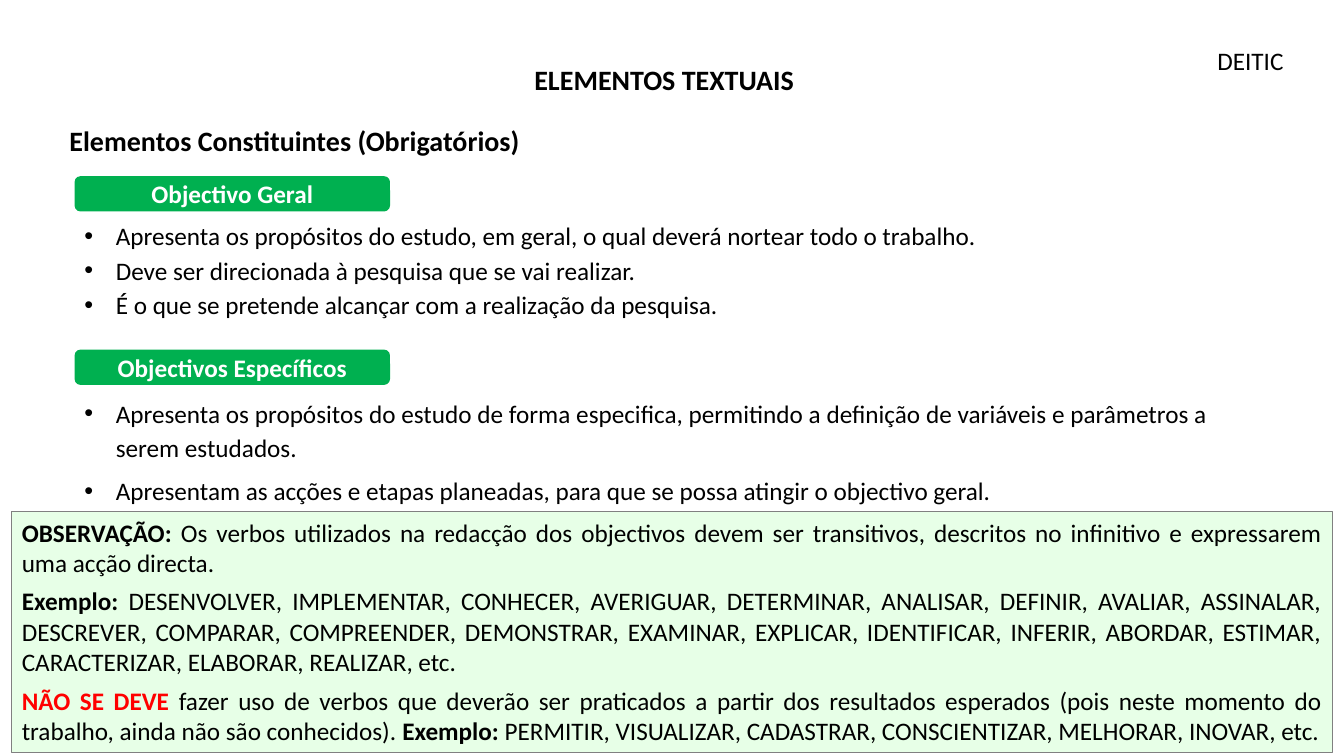
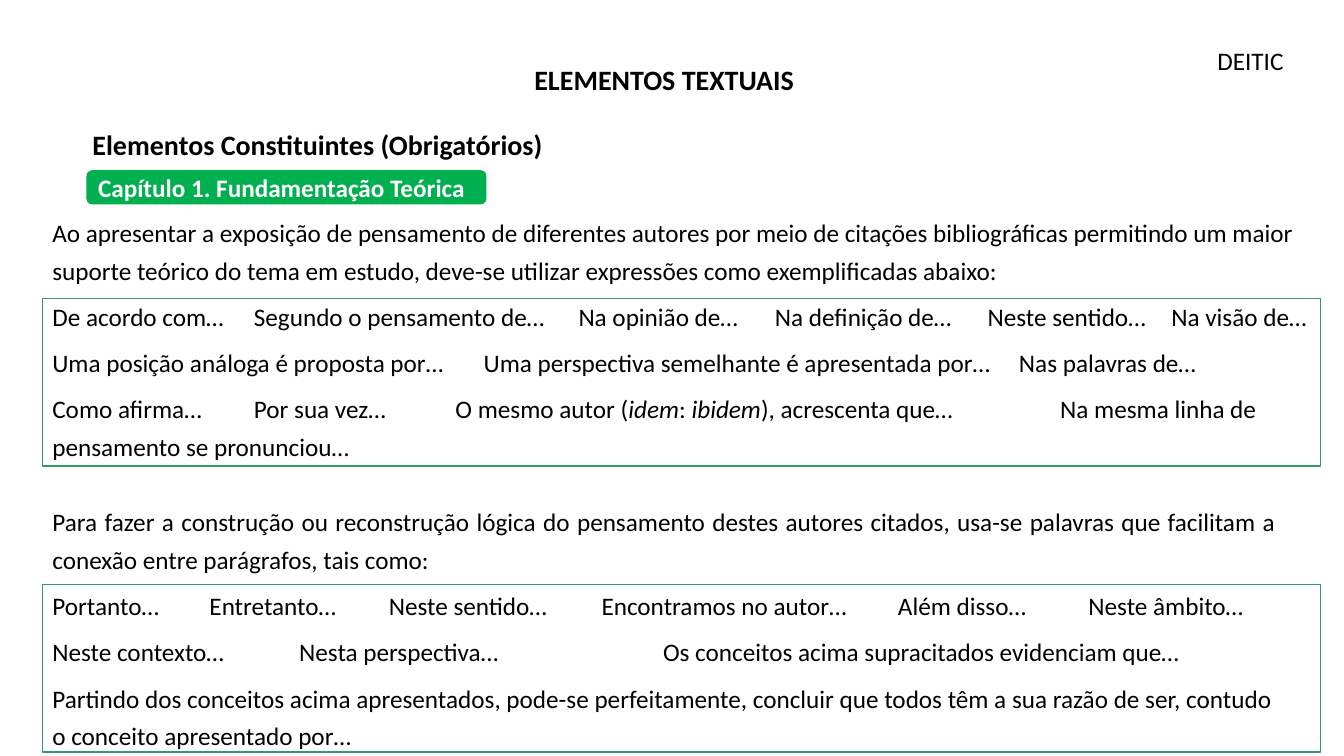
"""Build two slides on the textual elements of a research paper."""
from dataclasses import dataclass
from typing import Any, Optional

import lxml.etree
import pptx
import pptx.dml.color
import pptx.enum.shapes
import pptx.enum.text
import pptx.oxml.ns
import pptx.util

Cm = pptx.util.Cm
Pt = pptx.util.Pt
Align = pptx.enum.text.PP_ALIGN
Anchor = pptx.enum.text.MSO_ANCHOR
Kind = pptx.enum.shapes.MSO_SHAPE

FONT = "Calibri"
BLACK, WHITE, RED = "000000", "FFFFFF", "FF0000"
GREEN, PALE, GREY, EDGE = "00B050", "E7FFE7", "808080", "339966"
HANG = 0.79


@dataclass(frozen=True)
class Box:
    """A place on the slide, in centimetres."""
    left: float
    top: float
    width: float
    height: float


@dataclass(frozen=True)
class Run:
    """A piece of text that may differ from its paragraph."""
    text: str
    bold: Optional[bool] = None
    slant: Optional[bool] = None
    color: Optional[str] = None


@dataclass(frozen=True)
class Para:
    """A paragraph with its layout and font."""
    runs: tuple[Run, ...]
    align: Any = Align.LEFT
    lines: float = 1.0
    before: float = 0
    after: float = 0
    bullet: bool = False
    tabs: tuple[float, ...] = ()
    size: int = 18
    bold: bool = False
    color: str = BLACK


@dataclass(frozen=True)
class Tag:
    """A green label."""
    text: str
    box: Box
    align: Any = Align.CENTER


TITLE = Box(8.69, 1.45, 16.1, 1.12)
MARK = Box(30.43, 1.02, 2.18, 1.02)


def rgb(code: str) -> pptx.dml.color.RGBColor:
    """Turn a hex string into a colour."""
    return pptx.dml.color.RGBColor.from_string(code)


def place(box: Box) -> tuple[int, int, int, int]:
    """Give the box as lengths."""
    return Cm(box.left), Cm(box.top), Cm(box.width), Cm(box.height)


def child(node: Any, name: str, **attrs: str) -> Any:
    """Add a drawing element under a node."""
    return lxml.etree.SubElement(node, pptx.oxml.ns.qn(name), attrs)


def layout(line: Any, para: Para) -> None:
    """Set spacing, bullet and tab stops of a paragraph."""
    line.alignment = para.align
    line.line_spacing = para.lines
    line.space_before = Pt(para.before)
    line.space_after = Pt(para.after)
    props = line._p.get_or_add_pPr()
    if para.bullet:
        props.set("marL", str(Cm(HANG)))
        props.set("indent", str(-Cm(HANG)))
        child(props, "a:buFont", typeface="Arial")
        child(props, "a:buChar", char="•")
    if para.tabs:
        stops = child(props, "a:tabLst")
        for stop in para.tabs:
            child(stops, "a:tab", pos=str(Cm(stop)), algn="l")


def write(frame: Any, paras: list[Para], anchor: Any = Anchor.TOP,
          wrap: bool = True) -> None:
    """Fill a text frame with paragraphs."""
    frame.word_wrap = wrap
    frame.auto_size = pptx.enum.text.MSO_AUTO_SIZE.NONE
    frame.vertical_anchor = anchor
    for rank, para in enumerate(paras):
        line = frame.add_paragraph() if rank else frame.paragraphs[0]
        layout(line, para)
        font = line.font
        font.name, font.size, font.bold = FONT, Pt(para.size), para.bold
        font.color.rgb = rgb(para.color)
        for part in para.runs:
            run = line.add_run()
            run.text = part.text
            if part.bold is not None:
                run.font.bold = part.bold
            if part.slant is not None:
                run.font.italic = part.slant
            if part.color:
                run.font.color.rgb = rgb(part.color)


def text(slide: Any, box: Box, paras: list[Para], wrap: bool = True) -> None:
    """Add a text box."""
    write(slide.shapes.add_textbox(*place(box)).text_frame, paras, wrap=wrap)


def shape(slide: Any, kind: Any, box: Box, fill: Optional[str] = None,
          edge: Optional[str] = None, width: float = 1) -> Any:
    """Add a flat shape."""
    item = slide.shapes.add_shape(kind, *place(box))
    item.shadow.inherit = False
    if fill:
        item.fill.solid()
        item.fill.fore_color.rgb = rgb(fill)
    else:
        item.fill.background()
    if edge:
        item.line.color.rgb = rgb(edge)
        item.line.width = Pt(width)
    else:
        item.line.fill.background()
    return item


def label(slide: Any, tag: Tag) -> None:
    """Draw a green label."""
    item = shape(slide, Kind.ROUNDED_RECTANGLE, tag.box, GREEN)
    para = Para((Run(tag.text),), tag.align, bold=True, color=WHITE)
    write(item.text_frame, [para], Anchor.MIDDLE)


def start(deck: Any, left: float, top: float) -> Any:
    """Add a slide with its title, mark and heading."""
    slide = deck.slides.add_slide(deck.slide_layouts[5])
    title = slide.shapes.title
    title.left, title.top, title.width, title.height = place(TITLE)
    write(title.text_frame, [Para((Run("ELEMENTOS TEXTUAIS"),), Align.CENTER,
                                  size=20, bold=True)])
    text(slide, MARK, [Para((Run("DEITIC"),))], wrap=False)
    head = Run("Elementos Constituintes (Obrigatórios)")
    text(slide, Box(left, top, 16.1, 1.12),
         [Para((head,), size=20, bold=True)])
    return slide


def point(words: str, **more: Any) -> Para:
    """Make a bulleted paragraph."""
    return Para((Run(words),), bullet=True, **{"lines": 1.14, **more})


def note(*runs: Run) -> Para:
    """Make a justified paragraph of the remark."""
    return Para(runs, Align.JUSTIFY, after=6)


def prose(words: str, align: Any = Align.LEFT) -> Para:
    """Make a widely spaced paragraph."""
    return Para((Run(words),), align, lines=1.25, after=6)


def row(*cells: str, tabs: tuple[float, ...]) -> Para:
    """Make a line of phrases set on tab stops."""
    return Para((Run("\t".join(cells)),), lines=1.25, after=6, tabs=tabs)


def goals(deck: Any) -> None:
    """Build the slide on general and specific goals."""
    slide = start(deck, 1.5, 3)
    text(slide, Box(1.88, 5.33, 29.44, 2.9), [
        point("Apresenta os propósitos do estudo, em geral, o qual deverá "
              "nortear todo o trabalho."),
        point("Deve ser direcionada à pesquisa que se vai realizar."),
        point("É o que se pretende alcançar com a realização da pesquisa."),
    ])
    for words, top in (("Objectivo Geral", 4.44),
                       ("Objectivos Específicos", 8.81)):
        label(slide, Tag(words, Box(1.88, top, 7.95, 0.89)))
    remark = shape(slide, Kind.RECTANGLE, Box(0.3, 12.9, 33.27, 6.07),
                   PALE, GREY, 0.75)
    write(remark.text_frame, [
        note(Run("OBSERVAÇÃO: ", True),
             Run("Os verbos utilizados na redacção dos objectivos devem ser "
                 "transitivos, descritos no infinitivo e expressarem uma "
                 "acção directa.")),
        note(Run("Exemplo:", True),
             Run(" DESENVOLVER, IMPLEMENTAR, CONHECER, AVERIGUAR, DETERMINAR, "
                 "ANALISAR, DEFINIR, AVALIAR, ASSINALAR, DESCREVER, COMPARAR, "
                 "COMPREENDER, DEMONSTRAR, EXAMINAR, EXPLICAR, IDENTIFICAR, "
                 "INFERIR, ABORDAR, ESTIMAR, CARACTERIZAR, ELABORAR, "
                 "REALIZAR, etc.")),
        note(Run("NÃO SE DEVE ", True, color=RED),
             Run("fazer uso de verbos que deverão ser praticados a partir dos "
                 "resultados esperados (pois neste momento do trabalho, ainda "
                 "não são conhecidos). "),
             Run("Exemplo: ", True),
             Run("PERMITIR, VISUALIZAR, CADASTRAR, CONSCIENTIZAR, MELHORAR, "
                 "INOVAR, etc.")),
    ])
    text(slide, Box(1.88, 9.8, 28.8, 3.12), [
        point("Apresenta os propósitos do estudo de forma especifica, "
              "permitindo a definição de variáveis e parâmetros a serem "
              "estudados.", align=Align.JUSTIFY),
        point("Apresentam as acções e etapas planeadas, para que se possa "
              "atingir o objectivo geral.", align=Align.JUSTIFY, lines=1.07,
              before=7.5, after=22.5),
    ])


def theory(deck: Any) -> None:
    """Build the slide on the theory chapter."""
    slide = start(deck, 2.08, 3.1)
    label(slide, Tag("Capítulo 1. Fundamentação Teórica",
                     Box(2.18, 4.29, 10.08, 0.86), Align.JUSTIFY))
    text(slide, Box(1.07, 12.45, 31.34, 6.68), [
        prose("Para fazer a construção ou reconstrução lógica do pensamento "
              "destes autores citados, usa-se palavras que facilitam a "
              "conexão entre parágrafos, tais como:", Align.JUSTIFY),
        row("Portanto…", "Entretanto…", "Neste sentido…",
            "Encontramos no autor…", "Além disso…", "Neste âmbito…",
            tabs=(3.96, 8.48, 13.84, 21.31, 26.11)),
        row("Neste contexto…", "Nesta perspectiva…",
            "Os conceitos acima supracitados evidenciam que…",
            tabs=(6.22, 15.39)),
        prose("Partindo dos conceitos acima apresentados, pode-se "
              "perfeitamente, concluir que todos têm a sua razão de ser, "
              "contudo o conceito apresentado por…"),
    ])
    text(slide, Box(1.07, 5.16, 32.21, 6.6), [
        prose("Ao apresentar a exposição de pensamento de diferentes autores "
              "por meio de citações bibliográficas permitindo um maior "
              "suporte teórico do tema em estudo, deve-se utilizar expressões "
              "como exemplificadas abaixo:"),
        row("De acordo com…", "Segundo o pensamento de…", "Na opinião de…",
            "Na definição de…", "Neste sentido…", "Na visão de…",
            tabs=(5.08, 13.26, 18.21, 23.57, 28.2)),
        row("Uma posição análoga é proposta por…",
            "Uma perspectiva semelhante é apresentada por…",
            "Nas palavras de…", tabs=(10.87, 24.36)),
        Para((Run("Como afirma…\tPor sua vez…\tO mesmo autor ("),
              Run("idem", slant=True), Run(": "), Run("ibidem", slant=True),
              Run("), acrescenta que…\tNa mesma linha de pensamento se "
                  "pronunciou…")),
             lines=1.25, after=6, tabs=(5.08, 10.16, 25.4)),
    ])
    for top in (7.52, 14.73):
        shape(slide, Kind.RECTANGLE, Box(1.07, top, 32.21, 4.22), edge=EDGE)


def main() -> None:
    """Build and save the deck."""
    deck = pptx.Presentation()
    deck.slide_width, deck.slide_height = Cm(33.87), Cm(19.05)
    goals(deck)
    theory(deck)
    deck.save("out.pptx")


if __name__ == "__main__":
    main()
